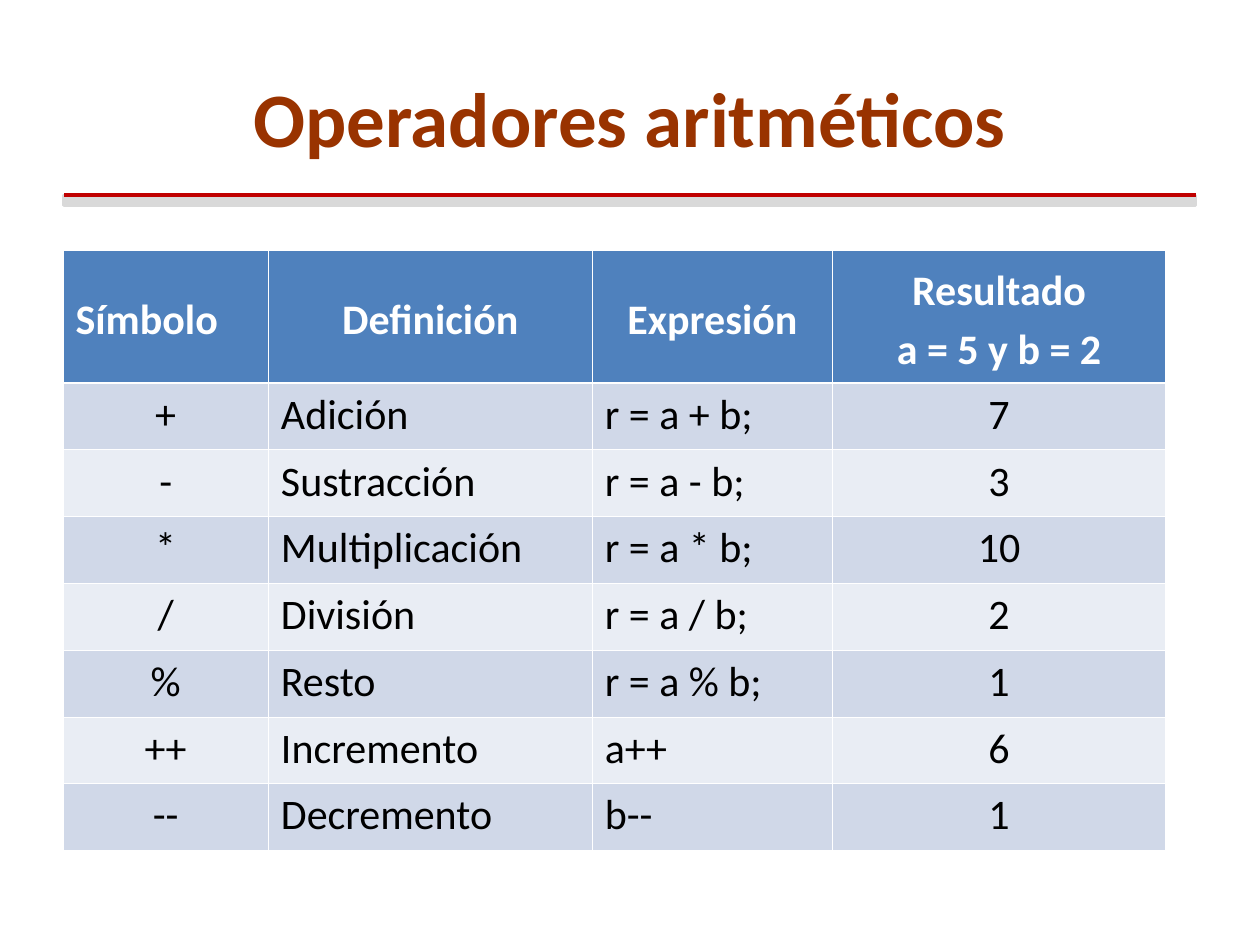
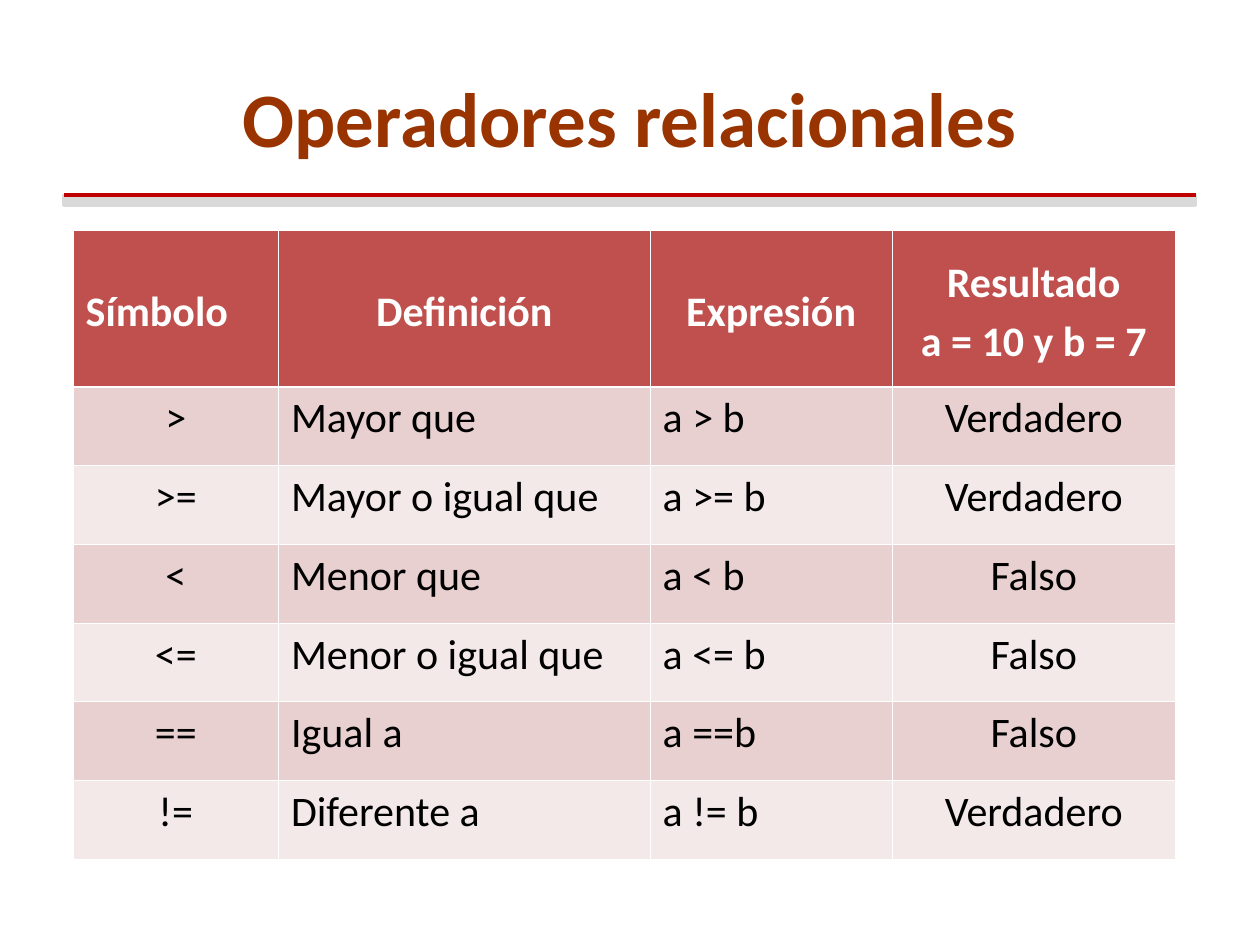
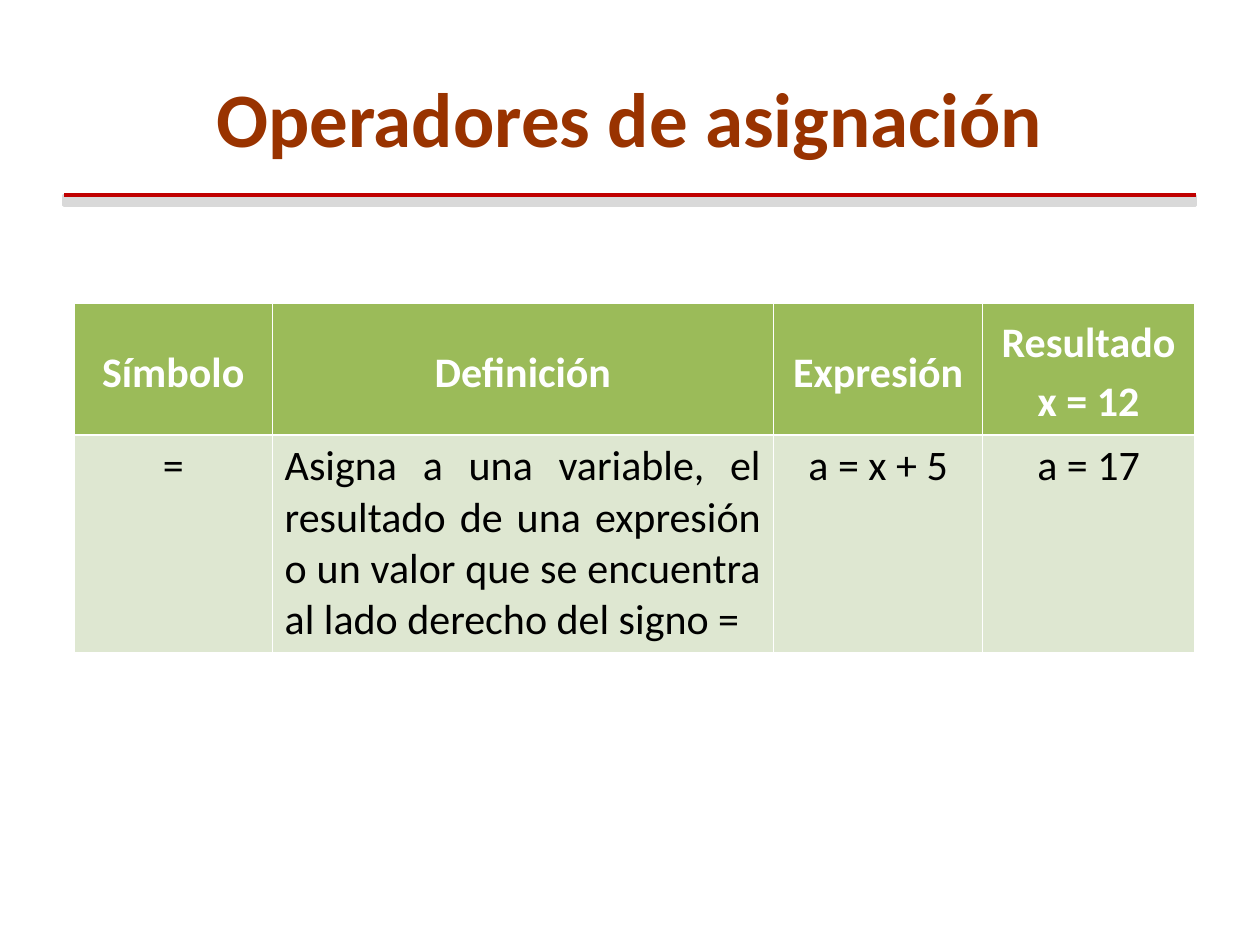
"""Builds three slides of operator tables."""
import lxml.etree
import pptx
import pptx.dml.color
import pptx.enum.shapes
import pptx.enum.text
import pptx.oxml.ns
import pptx.util

Inches = pptx.util.Inches
Pt = pptx.util.Pt
ALIGN = pptx.enum.text.PP_ALIGN
MIDDLE = pptx.enum.text.MSO_ANCHOR.MIDDLE
TOP = pptx.enum.text.MSO_ANCHOR.TOP

COLORS = {
    "title": "993300", "rule": "C00000", "band": "D9D9D9", "white": "FFFFFF", "text": "000000",
    "blue": "4F81BD", "blue_dark": "D0D8E8", "blue_light": "E9EDF4",
    "red": "C0504D", "red_dark": "E8D0D0", "red_light": "F4E9E9",
    "green": "9BBB59", "green_dark": "DEE7D1",
}
FONT = "Calibri"
THIN, THICK = 0.45, 1.47

ARITHMETIC = [
    ("Símbolo", "Definición", "Expresión", "Resultado\na = 5 y b = 2"),
    ("+", "Adición", "r = a + b;", "7"),
    ("-", "Sustracción", "r = a - b;", "3"),
    ("*", "Multiplicación", "r = a * b;", "10"),
    ("/", "División", "r = a / b;", "2"),
    ("%", "Resto", "r = a % b;", "1"),
    ("++", "Incremento", "a++", "6"),
    ("--", "Decremento", "b--", "1"),
]
RELATIONAL = [
    ("Símbolo", "Definición", "Expresión", "Resultado\na = 10 y b = 7"),
    (">", "Mayor que", "a > b", "Verdadero"),
    (">=", "Mayor o igual que", "a >= b", "Verdadero"),
    ("<", "Menor que", "a < b", "Falso"),
    ("<=", "Menor o igual que", "a <= b", "Falso"),
    ("==", "Igual a", "a ==b", "Falso"),
    ("!=", "Diferente a", "a != b", "Verdadero"),
]
ASSIGNMENT = [
    ("Símbolo", "Definición", "Expresión", "Resultado\nx = 12"),
    ("=", "Asigna a una variable, el resultado de una expresión o un valor "
          "que se encuentra al lado derecho del signo =", "a = x + 5", "a = 17"),
]
HEADER_ALIGN = [ALIGN.JUSTIFY] + [ALIGN.CENTER] * 3
BODY_ALIGN = [ALIGN.CENTER, ALIGN.LEFT, ALIGN.LEFT, ALIGN.CENTER]


def rgb(name):
    """Return the named colour."""
    return pptx.dml.color.RGBColor.from_string(COLORS[name])


def write(frame, text, size, color, bold, align, spacing=None):
    """Write one paragraph per line of text."""
    frame.text = text
    for para in frame.paragraphs:
        para.alignment = align
        para.line_spacing = spacing
        para.font.name = FONT
        para.font.size = Pt(size)
        para.font.bold = bold
        para.font.color.rgb = rgb(color)


def add_rule(page):
    """Draw the grey band and the red line below the title."""
    left, right, top = Inches(0.51), Inches(9.49), Inches(1.55)
    band = page.shapes.add_shape(
        pptx.enum.shapes.MSO_SHAPE.RECTANGLE, left, top, right - left, Inches(0.08))
    band.shadow.inherit = False
    band.fill.solid()
    band.fill.fore_color.rgb = rgb("band")
    band.line.color.rgb = rgb("band")
    band.line.width = Pt(2)
    rule = page.shapes.add_connector(
        pptx.enum.shapes.MSO_CONNECTOR.STRAIGHT, left, top, right, top)
    rule.line.color.rgb = rgb("rule")
    rule.line.width = Pt(2.25)
    lxml.etree.SubElement(rule._element.spPr, pptx.oxml.ns.qn("a:effectLst"))


def add_page(deck, title):
    """Add a blank page with its title and rule."""
    page = deck.slides.add_slide(deck.slide_layouts[6])
    add_rule(page)
    box = page.shapes.add_textbox(Inches(0.5), Inches(0.3), Inches(9), Inches(1.25))
    box.text_frame.word_wrap = True
    box.text_frame.vertical_anchor = MIDDLE
    write(box.text_frame, title, 44, "title", True, ALIGN.CENTER)
    return page


def set_borders(cell, top, bottom):
    """Give a cell white borders, thin at the sides."""
    properties = cell._tc.get_or_add_tcPr()
    sides = {"L": THIN, "R": THIN, "T": top, "B": bottom}
    for position, (side, width) in enumerate(sides.items()):
        border = lxml.etree.Element(pptx.oxml.ns.qn(f"a:ln{side}"), w=str(Pt(width)))
        fill = lxml.etree.SubElement(border, pptx.oxml.ns.qn("a:solidFill"))
        lxml.etree.SubElement(fill, pptx.oxml.ns.qn("a:srgbClr"), val=COLORS["white"])
        properties.insert(position, border)


def add_operator_table(page, place, widths, heights, rows, hue,
                       header_align=HEADER_ALIGN, body_align=BODY_ALIGN):
    """Add a banded table; heights are those of the header and of a body row."""
    header_height, body_height = heights
    total = header_height + body_height * (len(rows) - 1)
    left, top = place
    table = page.shapes.add_table(
        len(rows), len(widths), Inches(left), Inches(top),
        Inches(sum(widths)), Inches(total)).table
    table.horz_banding = False
    for column, width in zip(table.columns, widths):
        column.width = Inches(width)
    for row_index, texts in enumerate(rows):
        is_header = row_index == 0
        table.rows[row_index].height = Inches(header_height if is_header else body_height)
        shade = hue if is_header else hue + ("_dark" if row_index % 2 else "_light")
        for column_index, text in enumerate(texts):
            cell = table.cell(row_index, column_index)
            cell.fill.solid()
            cell.fill.fore_color.rgb = rgb(shade)
            cell.vertical_anchor = MIDDLE if is_header else TOP
            set_borders(cell, THICK if row_index == 1 else THIN, THICK if is_header else THIN)
            if is_header:
                write(cell.text_frame, text, 24, "white", True, header_align[column_index], 1.15)
            else:
                write(cell.text_frame, text, 24, "text", False, body_align[column_index])


def main():
    """Build and save the deck."""
    deck = pptx.Presentation()
    deck.slide_width, deck.slide_height = Inches(10), Inches(7.5)
    add_operator_table(
        add_page(deck, "Operadores aritméticos"), (0.5, 1.99),
        [1.63, 2.57, 1.91, 2.64], (1.05, 0.53), ARITHMETIC, "blue")
    add_operator_table(
        add_page(deck, "Operadores relacionales"), (0.58, 1.83),
        [1.63, 2.95, 1.92, 2.25], (1.24, 0.625), RELATIONAL, "red")
    add_operator_table(
        add_page(deck, "Operadores de asignación"), (0.59, 2.41),
        [1.57, 3.98, 1.66, 1.68], (1.04, 1.73), ASSIGNMENT, "green",
        [ALIGN.CENTER] * 4, [ALIGN.CENTER, ALIGN.JUSTIFY, ALIGN.CENTER, ALIGN.CENTER])
    deck.save("out.pptx")


if __name__ == "__main__":
    main()
